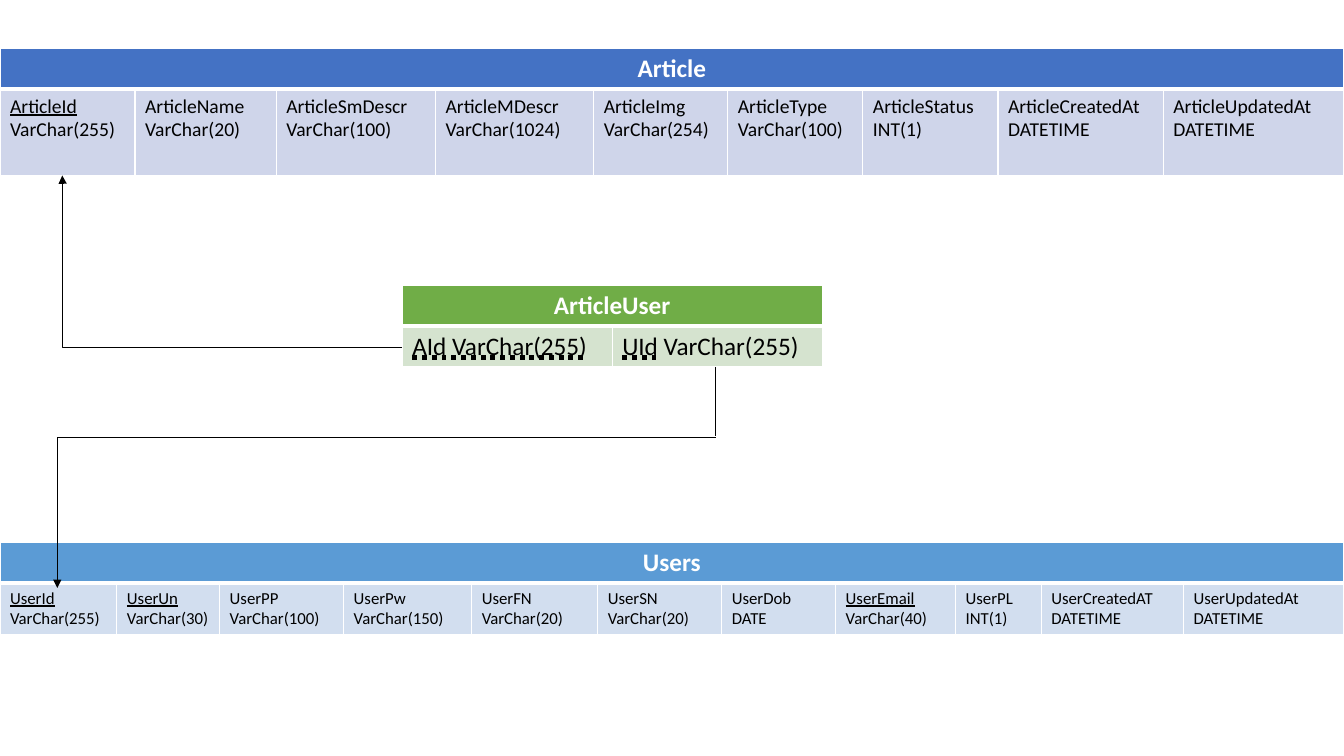
from lxml import etree
from pptx import Presentation
from pptx.dml.color import RGBColor
from pptx.enum import shapes, text
from pptx.oxml.ns import qn
from pptx.util import Pt

HEX = {
    "white": "FFFFFF", "black": "000000",
    "article": "4472C4", "article_row": "CFD5EA",
    "link": "70AD47", "link_row": "D5E3CF",
    "users": "5B9BD5", "users_row": "D2DEEF",
}
DOTTED = text.MSO_UNDERLINE.DOTTED_HEAVY_LINE

# Text between underscores is underlined; a newline starts a paragraph.
ARTICLE = [
    ("_ArticleId_ VarChar(255)", 96.5), ("ArticleName VarChar(20)", 100.8),
    ("ArticleSmDescr VarChar(100)", 113.8),
    ("ArticleMDescr VarChar(1024)", 113), ("ArticleImg VarChar(254)", 95.8),
    ("ArticleType VarChar(100)", 96.5), ("ArticleStatus\nINT(1)", 96.5),
    ("ArticleCreatedAt\nDATETIME", 118.1),
    ("ArticleUpdatedAt\nDATETIME", 129),
]
LINK = [("_AId VarChar(255)_", 150), ("_UId_ VarChar(255)", 150)]
USERS = [
    ("_UserId_\nVarChar(255)", 83.5), ("_UserUn_ VarChar(30)", 73.4),
    ("UserPP\nVarChar(100)", 88.6), ("UserPw VarChar(150)", 91.5),
    ("UserFN\nVarChar(20)", 90), ("UserSN\nVarChar(20)", 88.6),
    ("UserDob DATE", 81.4), ("_UserEmail_\nVarChar(40)", 85.7),
    ("UserPL\nINT(1)", 61.2), ("UserCreatedAT DATETIME", 101.6),
    ("UserUpdatedAt DATETIME", 114.5),
]


def color(name):
    """Return the named colour."""
    return RGBColor.from_string(HEX[name])


def style(cell, fill, top, low):
    """Give a cell white borders and a solid fill."""
    props = cell._tc.get_or_add_tcPr()
    for side, width in (("L", 1), ("R", 1), ("T", top), ("B", low)):
        line = etree.SubElement(props, qn("a:ln" + side), w=str(Pt(width)))
        solid = etree.SubElement(line, qn("a:solidFill"))
        etree.SubElement(solid, qn("a:srgbClr"), val=HEX["white"])
    cell.fill.solid()
    cell.fill.fore_color.rgb = color(fill)


def write(cell, words, size, ink, under=True, bold=False):
    """Write marked text into a cell."""
    frame = cell.text_frame
    for i, line in enumerate(words.split("\n")):
        para = frame.add_paragraph() if i else frame.paragraphs[0]
        font = para.font
        font.name, font.size, font.bold = "Calibri", Pt(size), bold
        font.color.rgb = color(ink)
        for j, part in enumerate(line.split("_")):
            if part:
                run = para.add_run()
                run.text = part
                if j % 2:
                    run.font.underline = under


def entity(slide, box, name, title, fields, size, under=True):
    """Draw a database table: a merged title row over its fields."""
    left, top, head, body = box
    width = sum(wide for _, wide in fields)
    table = slide.shapes.add_table(
        2, len(fields), Pt(left), Pt(top), Pt(width), Pt(head + body)).table
    table.rows[0].height, table.rows[1].height = Pt(head), Pt(body)
    for i, (words, wide) in enumerate(fields):
        table.columns[i].width = Pt(wide)
        style(table.cell(0, i), name, 1, 3)
        style(table.cell(1, i), name + "_row", 3, 1)
        write(table.cell(1, i), words, size, "black", under)
    first = table.cell(0, 0)
    first.merge(table.cell(0, len(fields) - 1))
    write(first, title, 18, "white", bold=True)
    first.text_frame.paragraphs[0].alignment = text.PP_ALIGN.CENTER


def wire(slide, start, end, bend=None):
    """Draw a thin line; with a bend it is an elbow arrow."""
    kind = shapes.MSO_CONNECTOR
    line = slide.shapes.add_connector(
        kind.ELBOW if bend else kind.STRAIGHT,
        *(Pt(n) for n in start + end))
    line.line.width = Pt(0.5)
    line.line.color.rgb = color("black")
    props = line._element.spPr
    if bend:
        guides = props.find(qn("a:prstGeom")).find(qn("a:avLst"))
        etree.SubElement(guides, qn("a:gd"), name="adj1", fmla=f"val {bend}")
        etree.SubElement(props.find(qn("a:ln")), qn("a:tailEnd"),
                         type="triangle")
    etree.SubElement(props, qn("a:effectLst"))


def schema(slide):
    """Place the three tables and the keys that join them."""
    entity(slide, (0, 34.6, 28.8, 61.9), "article", "Article", ARTICLE, 14)
    entity(slide, (287.3, 203.8, 29.2, 29.2), "link", "ArticleUser", LINK,
           18, DOTTED)
    entity(slide, (0, 387.4, 29.2, 36.4), "users", "Users", USERS, 12)
    wire(slide, (287.3, 248.2), (44.5, 125.4), 99900)
    wire(slide, (511.2, 262), (511.2, 311.8))
    wire(slide, (511.2, 312.3), (41, 420), 100000)


deck = Presentation()
deck.slide_width, deck.slide_height = Pt(960), Pt(540)
schema(deck.slides.add_slide(deck.slide_layouts[6]))
deck.save("out.pptx")
